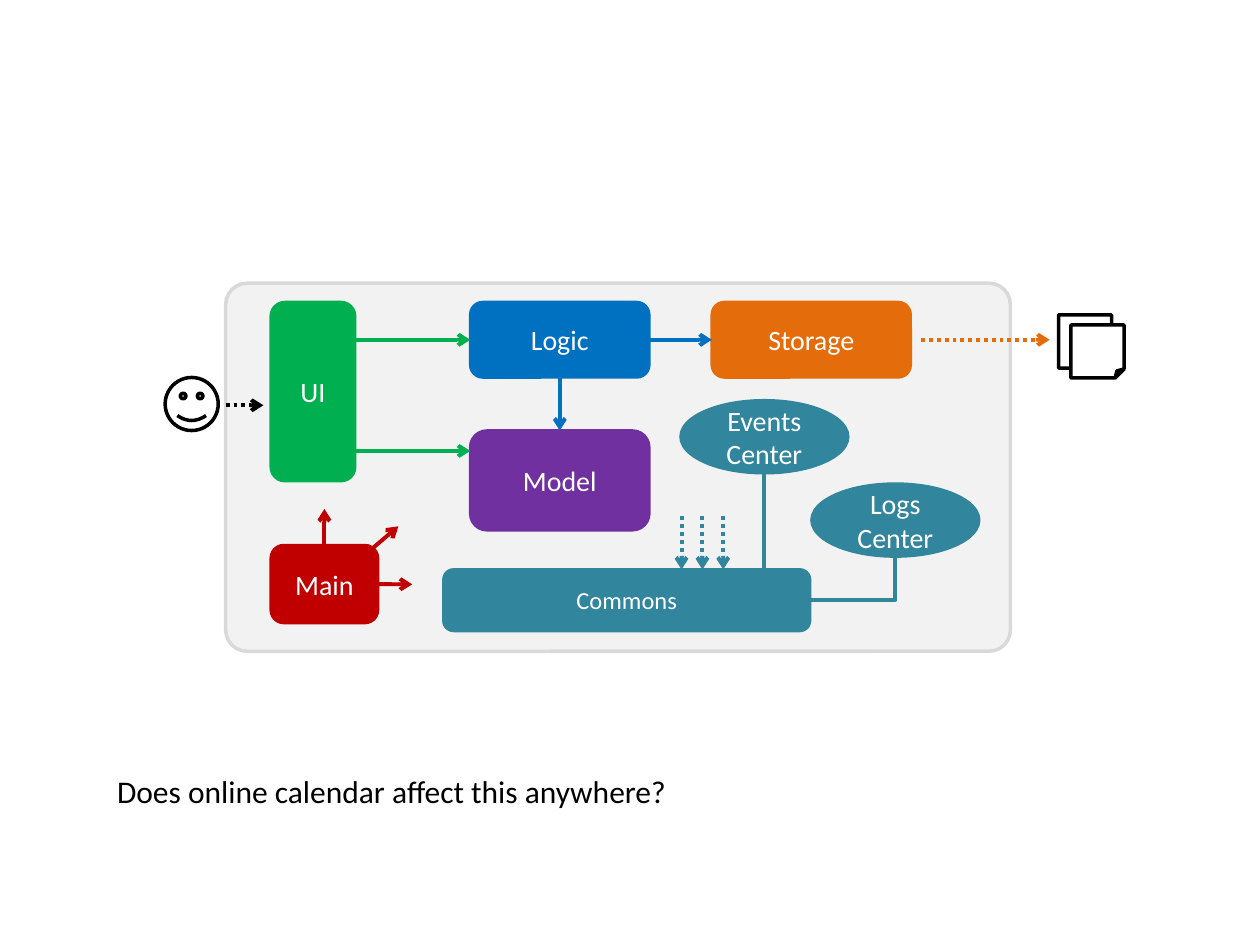
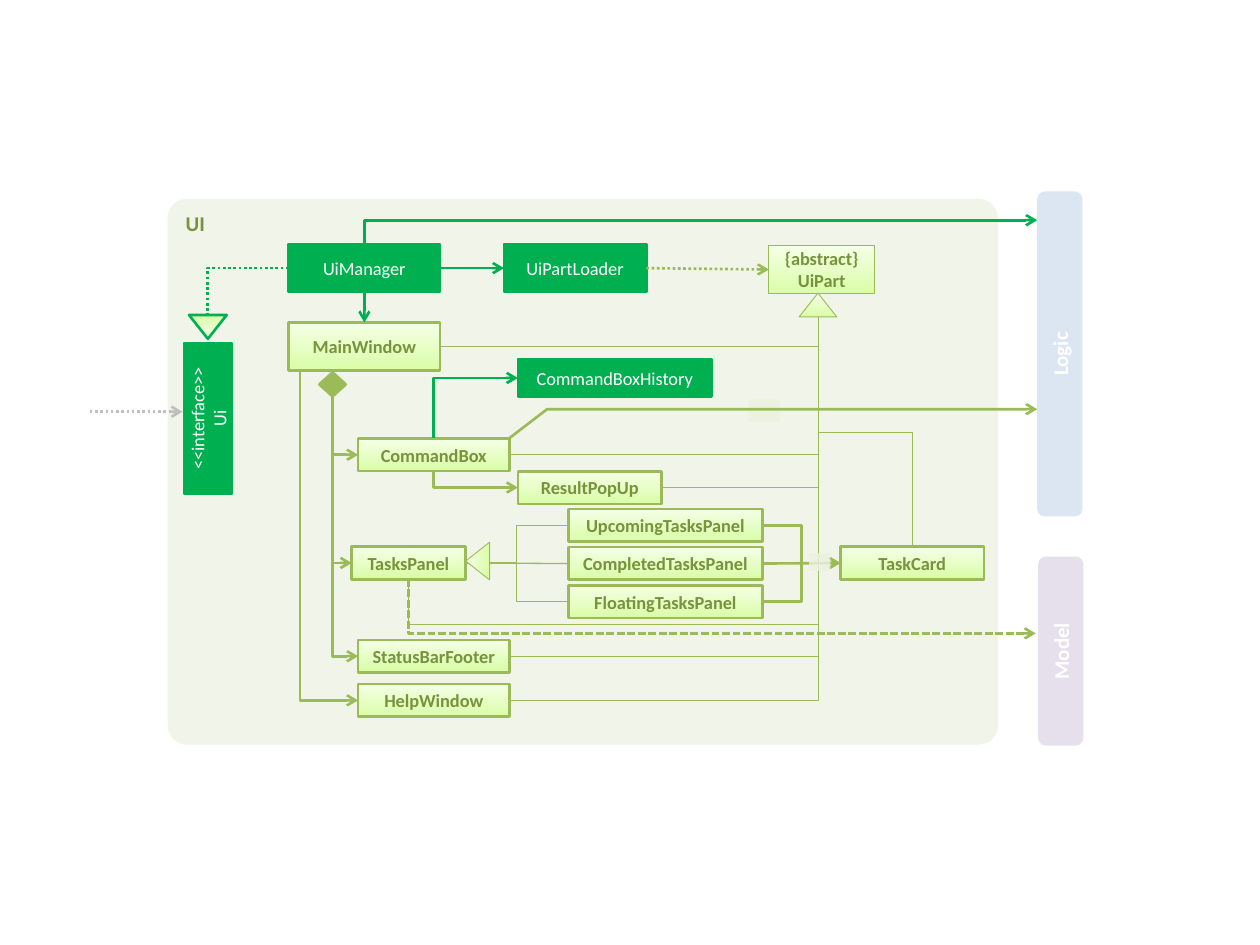
"""Builds two architecture slides: the system overview and its UI classes."""
from dataclasses import dataclass

from lxml import etree
from pptx import Presentation, util as u
from pptx.dml.color import RGBColor
from pptx.enum import dml, shapes, text
from pptx.oxml.ns import qn

KIND = shapes.MSO_SHAPE
DASH = dml.MSO_LINE
TOP, LEFT, LOW, RIGHT = range(4)
SIDES = {TOP: (0.5, 0), LEFT: (0, 0.5), LOW: (0.5, 1), RIGHT: (1, 0.5)}


@dataclass(frozen=True)
class Theme:
    """Colours, type sizes and line widths of both slides."""
    font: str = "Calibri"
    white: str = "FFFFFF"
    black: str = "000000"
    green: str = "00B050"
    blue: str = "0070C0"
    orange: str = "E46C0A"
    purple: str = "7030A0"
    teal: str = "31859C"
    red: str = "C00000"
    pale: str = "F2F2F2"
    edge: str = "D9D9D9"
    grey: str = "BFBFBF"
    olive: str = "9BBB59"
    moss: str = "77933C"
    mist: str = "F1F5E9"
    veil: str = "EBF1DE"
    sky: str = "DCE6F2"
    lilac: str = "E6E0EC"
    fade: tuple = ("DAFDA7", "F5FFE7")
    note: float = 18
    large: float = 16
    mid: float = 14
    label: float = 12
    small: float = 10.5
    thick: float = 2.25
    bold: float = 2
    rule: float = 1.5
    thin: float = 0.75
    hair: float = 0.5


T = Theme()


def spot(shape, side):
    """Return the middle of one side of a shape."""
    fx, fy = SIDES[side]
    return (shape.left + int(shape.width * fx),
            shape.top + int(shape.height * fy))


def paint(shape, fill):
    """Fill a shape with one colour, or fade it upwards between two."""
    if isinstance(fill, tuple):
        shape.fill.gradient()
        shape.fill.gradient_angle = 90
        for stop, tone in zip(shape.fill.gradient_stops, fill):
            stop.color.rgb = RGBColor.from_string(tone)
    else:
        shape.fill.solid()
        shape.fill.fore_color.rgb = RGBColor.from_string(fill)


def stroke(line, color, width, dash=None):
    """Set the colour, width and dash of a line."""
    line.color.rgb = RGBColor.from_string(color)
    line.width = u.Pt(width)
    if dash:
        line.dash_style = dash


def tip(shape, end):
    """Put an open arrowhead on the headEnd or tailEnd of a line."""
    line = shape._element.spPr.find(qn("a:ln"))
    etree.SubElement(line, qn("a:" + end), type="arrow")


def write(shape, words, size, color, bold=False, align=text.PP_ALIGN.CENTER):
    """Set the text of a shape and format its runs."""
    frame = shape.text_frame
    frame.word_wrap = True
    frame.text = words
    for para in frame.paragraphs:
        para.alignment = align
        for run in para.runs:
            run.font.name = T.font
            run.font.size = u.Pt(size)
            run.font.bold = bold
            run.font.color.rgb = RGBColor.from_string(color)


class Board:
    """A region of a slide; places shapes in cm from its own corner."""

    def __init__(self, slide, x, y):
        """Remember the slide and the corner of the region."""
        self.items = slide.shapes
        self.x, self.y = x, y

    def point(self, x, y):
        """Turn a place on the board into a place on the slide."""
        return u.Cm(self.x + x), u.Cm(self.y + y)

    def put(self, kind, box, fill, edge=None, width=T.rule, turn=0):
        """Add a preset shape."""
        x, y, w, h = box
        shape = self.items.add_shape(kind, *self.point(x, y), u.Cm(w), u.Cm(h))
        shape.shadow.inherit = False
        shape.rotation = turn
        paint(shape, fill)
        if edge:
            stroke(shape.line, edge, width)
        else:
            shape.line.fill.background()
        return shape

    def block(self, words, box, fill, size=T.large, kind=KIND.ROUNDED_RECTANGLE, turn=0):
        """Add a plain shape with a white label."""
        shape = self.put(kind, box, fill, fill, turn=turn)
        write(shape, words, size, T.white)
        return shape

    def leaf(self, words, box, width=T.rule):
        """Add a faded class box with a bold label."""
        shape = self.put(KIND.RECTANGLE, box, T.fade, T.olive, width)
        shape.text_frame.margin_left = shape.text_frame.margin_right = u.Cm(0.1)
        write(shape, words, T.small, T.moss, True)
        return shape

    def find(self, end):
        """Resolve a board place or a (shape, side) pair."""
        return spot(*end) if hasattr(end[0], "left") else self.point(*end)

    def link(self, kind, start, stop, color, width, dash, head):
        """Add a connector without shadow."""
        line = self.items.add_connector(kind, *self.find(start), *self.find(stop))
        stroke(line.line, color, width, dash)
        if head:
            tip(line, head)
        etree.SubElement(line._element.spPr, qn("a:effectLst"))
        return line

    def wire(self, start, stop, color, width=T.rule, dash=None, head="tailEnd"):
        """Add a straight line, joined to the boxes it touches."""
        line = self.link(shapes.MSO_CONNECTOR.STRAIGHT, start, stop, color, width, dash, head)
        for end, join in ((start, line.begin_connect), (stop, line.end_connect)):
            shape = end[0]
            if hasattr(shape, "left") and shape.auto_shape_type in (
                    KIND.RECTANGLE, KIND.ROUNDED_RECTANGLE):
                join(*end)

    def bend(self, start, stop, color, width=T.rule, dash=None, head=None):
        """Add a line with one corner, level first and then upright."""
        line = self.link(shapes.MSO_CONNECTOR.ELBOW, start, stop, color, width, dash, head)
        line._element.spPr.find(qn("a:prstGeom")).set("prst", "bentConnector2")

    def step(self, start, stop, color, width=T.rule, head=None):
        """Add a line with two corners halfway."""
        self.link(shapes.MSO_CONNECTOR.ELBOW, start, stop, color, width, None, head)

    def veil(self, box):
        """Add a translucent patch where lines cross."""
        shape = self.put(KIND.RECTANGLE, box, T.veil)
        tone = shape._element.spPr.find(".//" + qn("a:srgbClr"))
        etree.SubElement(tone, qn("a:alpha"), val="80000")


def system(slide, x, y, w, h):
    """Draw the overview of the components in the given box."""
    b = Board(slide, x, y)
    frame = b.put(KIND.ROUNDED_RECTANGLE, (0, 0, w, h), T.pale, T.edge, T.bold)
    frame.adjustments[0] = 0.058
    ui = b.block("UI", (0.91, 0.38, 1.7, 3.61), T.green)
    logic = b.block("Logic", (4.93, 0.38, 3.61, 1.52), T.blue)
    store = b.block("Storage", (9.8, 0.38, 4.01, 1.52), T.orange)
    model = b.block("Model", (4.93, 2.97, 3.61, 2.01), T.purple)
    base = b.block("Commons", (4.39, 5.77, 7.39, 1.24), T.teal, T.mid)
    main = b.block("Main", (0.91, 5.28, 2.16, 1.57), T.red)
    event = b.block("Events Center", (9.17, 2.36, 3.38, 1.47), T.teal, kind=KIND.OVAL)
    logs = b.block("Logs\vCenter", (11.81, 4.04, 3.38, 1.47), T.teal, kind=KIND.OVAL)
    b.put(KIND.SMILEY_FACE, (-1.22, 1.9, 1.07, 1.07), T.white, T.black, T.bold)
    for left, top in ((16.79, 0.64), (17.04, 0.84)):
        b.put(KIND.FOLDED_CORNER, (left, top, 1.07, 1.07), T.white, T.black, T.bold)

    edge = 0.91 + ui.width.cm
    for start, stop, color in (
            ((edge, 1.14), (logic, LEFT), T.green),
            ((edge, 3.38), (4.93, 3.38), T.green),
            ((logic, LOW), (model, TOP), T.blue),
            ((logic, RIGHT), (store, LEFT), T.blue),
            ((main, RIGHT), (3.76, 6.07), T.red),
            ((2.67, 5.59), (3.48, 4.9), T.red),
            ((main, TOP), (1.99, 4.55), T.red)):
        b.wire(start, stop, color, T.thick)
    b.wire((0, 2.46), (0.76, 2.46), T.black, T.thick, DASH.ROUND_DOT)
    b.wire((14.02, 1.14), (16.61, 1.14), T.orange, T.thick, DASH.ROUND_DOT)
    for i in range(3):
        left = 9.19 + 0.42 * i
        b.wire((left, 4.7), (left, 5.77), T.teal, T.thick, DASH.ROUND_DOT)
    b.wire((event, LOW), (10.86, 5.77), T.teal, T.thick, head=None)
    b.bend((base, RIGHT), (logs, LOW), T.teal, T.thick)


def remark(slide, x, y, w, h):
    """Write the open question under the overview."""
    box = slide.shapes.add_textbox(u.Cm(x), u.Cm(y), u.Cm(w), u.Cm(h))
    write(box, "Does online calendar affect this anywhere?", T.note, T.black,
          align=text.PP_ALIGN.LEFT)


def bar(b, words, box, fill):
    """Draw an upright neighbour component beside the panel."""
    shape = b.put(KIND.ROUNDED_RECTANGLE, box, fill, turn=270)
    write(shape, words, T.label, T.white, True)


def classes(slide, x, y, w, h):
    """Draw the classes of the UI component in the given box."""
    b = Board(slide, x, y)
    panel = b.put(KIND.ROUNDED_RECTANGLE, (0, 0, w, h), T.mist)
    panel.adjustments[0] = 0.035
    panel.text_frame.vertical_anchor = text.MSO_ANCHOR.TOP
    write(panel, "UI", T.label, T.moss, True, text.PP_ALIGN.LEFT)
    bar(b, "Logic", (14.71, 2.67, 6.55, 0.91), T.sky)
    bar(b, "Model", (16.1, 8.66, 3.81, 0.91), T.lilac)

    def solid(words, box, turn=0):
        """Add a green class box."""
        return b.block(words, box, T.green, T.small, KIND.RECTANGLE, turn)

    boss = solid("UiManager", (2.44, 0.91, 3.05, 0.97))
    load = solid("UiPartLoader", (6.78, 0.91, 2.87, 0.97))
    past = solid("CommandBoxHistory", (7.06, 3.23, 3.91, 0.76))
    solid("<<interface>>\nUi", (-0.71, 3.94, 3.05, 0.97), 270)
    base = b.leaf("{abstract}\vUiPart", (12.12, 0.94, 2.13, 0.97), T.hair)
    home = b.leaf("MainWindow", (2.44, 2.49, 3.05, 0.97))
    entry, foot, guide = (
        b.leaf(words, (3.84, top, 3.05, 0.66)) for words, top in (
            ("CommandBox", 4.83), ("StatusBarFooter", 8.89), ("HelpWindow", 9.78)))
    popup = b.leaf("ResultPopUp", (7.06, 5.49, 2.9, 0.66))
    tasks = b.leaf("TasksPanel", (3.71, 7.01, 2.29, 0.66))
    card = b.leaf("TaskCard", (13.56, 7.01, 2.9, 0.66))
    first, done, last = (
        b.leaf(words + "TasksPanel", (8.08, 6.25 + 0.77 * i, 3.91, 0.66))
        for i, words in enumerate(("Upcoming", "Completed", "Floating")))
    gem = b.put(KIND.FLOWCHART_DECISION, (3.07, 3.51, 0.51, 0.46), T.olive, T.olive, T.bold)
    peak = b.put(KIND.ISOSCELES_TRIANGLE, (12.73, 1.9, 0.76, 0.48), T.fade, T.olive, T.hair)

    for shape in (home, entry, popup, foot, guide):
        b.bend((shape, RIGHT), (peak, LOW), T.olive, T.hair)
    b.bend((13.11, 4.7), (card, TOP), T.olive, T.hair)
    b.bend((13.11, 8.59), (tasks, LOW), T.olive, T.hair)
    for shape in (entry, tasks, foot):
        b.bend((shape, LEFT), (gem, LOW), T.olive, head="headEnd")
    b.bend((guide, LEFT), (2.67, 3.46), T.olive, head="headEnd")
    b.bend((popup, LEFT), (entry, LOW), T.olive, head="headEnd")
    b.bend((past, LEFT), (entry, TOP), T.green, head="headEnd")
    b.bend((17.53, 0.43), (boss, TOP), T.green, head="headEnd")
    b.bend((17.5, 8.76), (tasks, LOW), T.olive, dash=DASH.SQUARE_DOT, head="headEnd")
    b.bend((boss, LEFT), (0.81, 2.34), T.green, dash=DASH.ROUND_DOT)
    b.wire((boss, LOW), (home, TOP), T.green)
    b.wire((boss, RIGHT), (load, LEFT), T.green)
    b.wire((load, RIGHT), (base, LEFT), T.olive, dash=DASH.ROUND_DOT)
    b.wire((-1.57, 4.29), (0.3, 4.29), T.grey, dash=DASH.ROUND_DOT)

    for shape in (first, last):
        b.step((tasks, RIGHT), (shape, LEFT), T.olive, T.thin)
        b.step((shape, RIGHT), (card, LEFT), T.olive, head="tailEnd")
    b.wire((tasks, RIGHT), (done, LEFT), T.olive, T.thin, head=None)
    b.wire((done, RIGHT), (card, LEFT), T.olive, head=None)
    b.put(KIND.ISOSCELES_TRIANGLE, (5.87, 7.06, 0.76, 0.48), T.fade, T.olive, T.hair, 270)
    b.put(KIND.ISOSCELES_TRIANGLE, (0.43, 2.34, 0.76, 0.48), T.fade, T.green, turn=180)

    b.veil((11.71, 4.04, 0.64, 0.46))
    route = b.items.build_freeform(*b.point(6.88, 4.83))
    route.add_line_segments([b.point(7.65, 4.24), b.point(17.53, 4.24)], close=False)
    call = route.convert_to_shape()
    call.shadow.inherit = False
    call.fill.background()
    stroke(call.line, T.olive, T.rule)
    tip(call, "tailEnd")
    b.veil((12.93, 7.14, 0.43, 0.36))


def main():
    """Build and save the deck."""
    deck = Presentation()
    deck.slide_width, deck.slide_height = u.Cm(25.4), u.Cm(19.05)
    blank = deck.slide_layouts[6]
    slide = deck.slides.add_slide(blank)
    system(slide, 4.55, 5.71, 15.82, 7.42)
    remark(slide, 2.11, 15.44, 17.63, 1.02)
    classes(deck.slides.add_slide(blank), 3.38, 4.01, 16.74, 11)
    deck.save("out.pptx")


if __name__ == "__main__":
    main()
